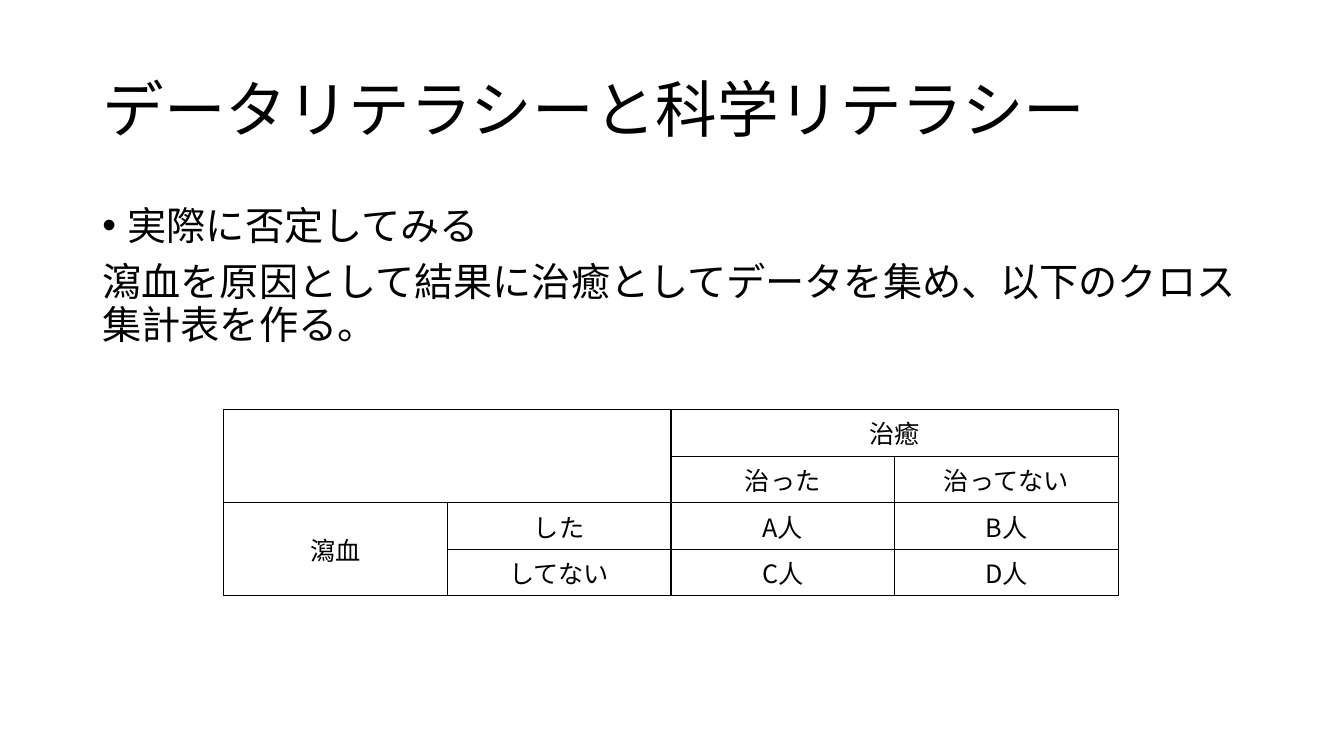
from lxml import etree
from pptx import Presentation
from pptx.dml.color import RGBColor
from pptx.enum.text import MSO_ANCHOR, MSO_AUTO_SIZE, PP_ALIGN
from pptx.oxml.ns import qn
from pptx.util import Pt

PX = 9525  # EMU per px, 96 px to the inch
FONT = "Noto Sans CJK JP"
BLACK = RGBColor(0, 0, 0)
TOP, MIDDLE = MSO_ANCHOR.TOP, MSO_ANCHOR.MIDDLE
LEFT, CENTER = PP_ALIGN.LEFT, PP_ALIGN.CENTER
NO_AUTOFIT = MSO_AUTO_SIZE.NONE


def write(p, text, size=18, color=BLACK, align=LEFT, spacing=1.0, before=0):
    p.alignment = align
    p.line_spacing = spacing
    p.space_before = Pt(before)
    r = p.add_run()
    r.text = text
    r.font.size = Pt(size)
    r.font.color.rgb = color
    r.font.name = FONT
    etree.SubElement(r.font._element, qn("a:ea"), typeface=FONT)


class Deck:
    def __init__(self, width, height):
        self.prs = Presentation()
        self.prs.slide_width, self.prs.slide_height = width * PX, height * PX
        self.slide = self.prs.slides.add_slide(self.prs.slide_layouts[1])

    def place(self, sp, box, anchor):
        sp.left, sp.top, sp.width, sp.height = (v * PX for v in box)
        tf = sp.text_frame
        tf.word_wrap = True
        tf.auto_size = NO_AUTOFIT
        tf.vertical_anchor = anchor
        return tf

    def title(self, text, box):
        tf = self.place(self.slide.shapes.title, box, MIDDLE)
        write(tf.paragraphs[0], text, size=44, spacing=0.9)

    def body(self, items, box):
        tf = self.place(self.slide.placeholders[1], box, TOP)
        for i, (text, bulleted) in enumerate(items):
            p = tf.add_paragraph() if i else tf.paragraphs[0]
            pPr = p._p.get_or_add_pPr()
            indent = 24 * PX if bulleted else 0
            pPr.set("marL", str(indent))
            pPr.set("indent", str(-indent))
            if bulleted:
                etree.SubElement(pPr, qn("a:buFont"), typeface="Arial")
                etree.SubElement(pPr, qn("a:buChar"), char="•")
            else:
                etree.SubElement(pPr, qn("a:buNone"))
            write(p, text, size=28, spacing=0.9, before=10 if i else 0)

    def border(self, cell, color=BLACK, width=1):
        tcPr = cell._tc.get_or_add_tcPr()
        for side in "LRTB":
            ln = etree.SubElement(tcPr, qn("a:ln" + side), w=str(Pt(width)))
            fill = etree.SubElement(ln, qn("a:solidFill"))
            etree.SubElement(fill, qn("a:srgbClr"), val=str(color))

    def table(self, rows, merges, left, top, col_width, row_height):
        n_rows, n_cols = len(rows), len(rows[0])
        table = self.slide.shapes.add_table(
            n_rows, n_cols, left * PX, top * PX,
            n_cols * col_width * PX, n_rows * row_height * PX).table
        table.first_row = table.horz_banding = False
        for r, row in enumerate(rows):
            for c, text in enumerate(row):
                cell = table.cell(r, c)
                self.border(cell)
                cell.fill.background()
                cell.vertical_anchor = MIDDLE
                if text:
                    write(cell.text_frame.paragraphs[0], text, align=CENTER)
        for first, last in merges:
            table.cell(*first).merge(table.cell(*last))


def main():
    deck = Deck(1280, 720)

    # Heading and explanation
    deck.title("データリテラシーと科学リテラシー", (88, 38, 1104, 139))
    deck.body([
        ("実際に否定してみる", True),
        ("瀉血を原因として結果に治癒としてデータを集め、以下のクロス集計表を作る。", False),
    ], (88, 192, 1104, 457))

    # Cross tabulation of bloodletting against recovery
    deck.table([
        ["", "", "治癒", ""],
        ["", "", "治った", "治ってない"],
        ["瀉血", "した", "A人", "B人"],
        ["", "してない", "C人", "D人"],
    ], [((0, 0), (1, 1)), ((0, 2), (0, 3)), ((2, 0), (3, 0))],
        left=213, top=390, col_width=213, row_height=39)

    deck.prs.save("out.pptx")


if __name__ == "__main__":
    main()
